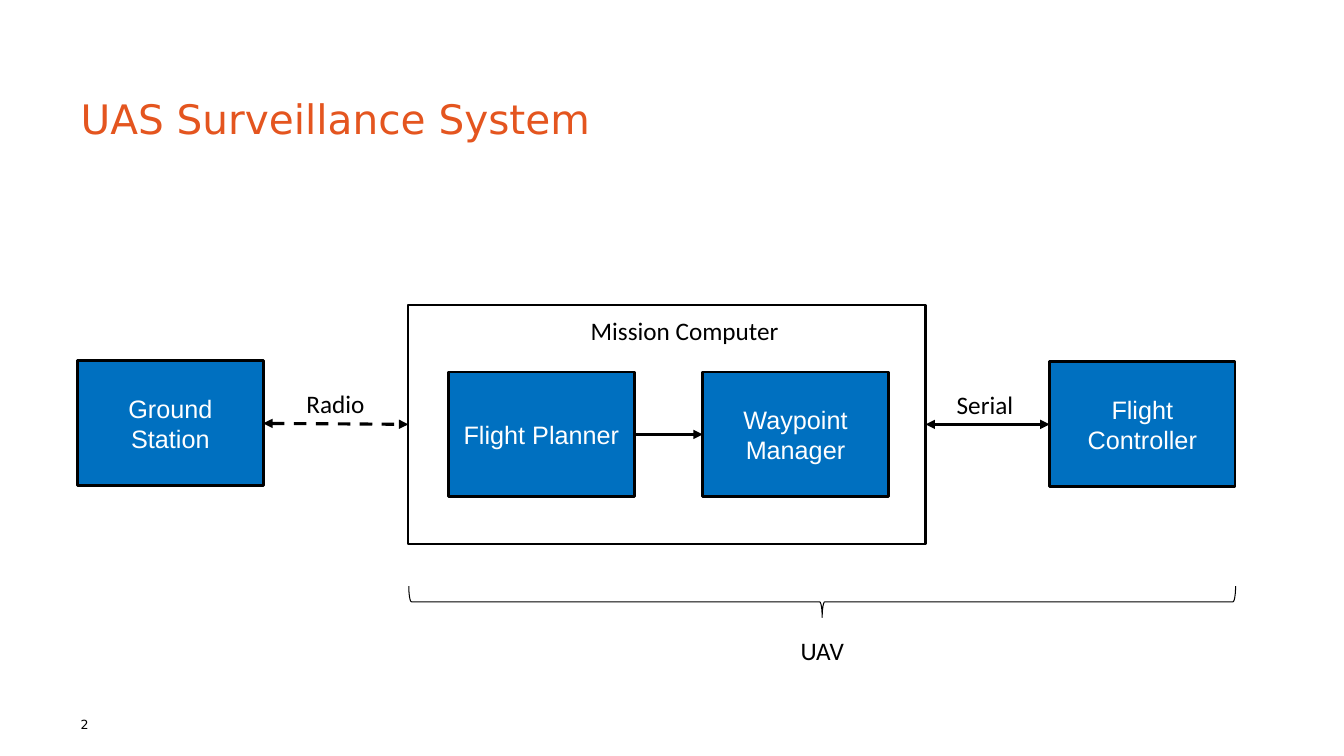
from lxml import etree
from pptx import Presentation
from pptx import util as u
from pptx.dml.color import RGBColor
from pptx.enum import dml, shapes, text
from pptx.oxml.ns import qn

BLACK, WHITE, BLUE, ORANGE = "000000", "FFFFFF", "0070C0", "E4551F"
NODE_WIDTH, NODE_HEIGHT = 1.84, 1.24


def color(value):
    return RGBColor.from_string(value)


def inches(*lengths):
    return [u.Inches(length) for length in lengths]


def write(frame, wording, size, font, ink, align):
    frame.word_wrap = True
    frame.text = wording
    paragraph = frame.paragraphs[0]
    paragraph.alignment = align
    run_font = paragraph.runs[0].font
    run_font.size = u.Pt(size)
    run_font.name = font
    run_font.color.rgb = color(ink)


def add_label(slide, wording, box, size=18, font="Calibri", ink=BLACK,
              align=text.PP_ALIGN.LEFT, insets=(0.1, 0.05)):
    frame = slide.shapes.add_textbox(*inches(*box)).text_frame
    frame.margin_left = frame.margin_right = u.Inches(insets[0])
    frame.margin_top = frame.margin_bottom = u.Inches(insets[1])
    write(frame, wording, size, font, ink, align)


def add_outline(slide, preset, box, weight, fill=None):
    outline = slide.shapes.add_shape(preset, *inches(*box))
    outline.shadow.inherit = False
    if fill:
        outline.fill.solid()
        outline.fill.fore_color.rgb = color(fill)
    else:
        outline.fill.background()
    outline.line.color.rgb = color(BLACK)
    outline.line.width = u.Pt(weight)
    return outline


def add_node(slide, wording, left, top):
    node = add_outline(slide, shapes.MSO_SHAPE.RECTANGLE,
                       (left, top, NODE_WIDTH, NODE_HEIGHT), 2, BLUE)
    node.text_frame.vertical_anchor = text.MSO_ANCHOR.MIDDLE
    write(node.text_frame, wording, 18, "Arial", WHITE, text.PP_ALIGN.CENTER)


def add_link(slide, start, end, both_ways=True, dashed=False):
    link = slide.shapes.add_connector(shapes.MSO_CONNECTOR.STRAIGHT,
                                      *inches(*start, *end))
    link.line.color.rgb = color(BLACK)
    link.line.width = u.Pt(2.25)
    if dashed:
        link.line.dash_style = dml.MSO_LINE.DASH
    # Arrowheads, and no theme shadow
    properties = link.line._get_or_add_ln()
    for end_tag in ("a:headEnd", "a:tailEnd") if both_ways else ("a:tailEnd",):
        etree.SubElement(properties, qn(end_tag), type="triangle")
    etree.SubElement(properties.getparent(), qn("a:effectLst"))


def main():
    deck = Presentation()
    deck.slide_width, deck.slide_height = inches(13.33, 7.5)
    slide = deck.slides.add_slide(deck.slide_layouts[6])
    center = text.PP_ALIGN.CENTER

    # Title and page number
    add_label(slide, "UAS Surveillance System", (0.67, 0.8, 12, 0.64),
              29, "DejaVu Sans", ORANGE, insets=(0.13, 0.13))
    add_label(slide, "2", (0.67, 7.04, 5.99, 0.27), 9, "DejaVu Sans",
              insets=(0.13, 0.07))

    # Mission computer frame
    add_outline(slide, shapes.MSO_SHAPE.RECTANGLE, (4.05, 3.03, 5.13, 2.37), 1.5)
    add_label(slide, "Mission Computer", (5.63, 3.08, 2.32, 0.4), align=center)

    # System components
    for component, left, top in (("Ground Station", 0.77, 3.58),
                                 ("Flight Planner", 4.45, 3.69),
                                 ("Waypoint Manager", 6.97, 3.69),
                                 ("Flight Controller", 10.41, 3.59)):
        add_node(slide, component, left, top)

    # Links between components
    add_link(slide, (2.61, 4.2), (4.05, 4.21), dashed=True)
    add_link(slide, (6.29, 4.31), (6.97, 4.31), both_ways=False)
    add_link(slide, (9.18, 4.21), (10.41, 4.21))
    add_label(slide, "Radio", (2.94, 3.8, 0.82, 0.4))
    add_label(slide, "Serial", (9.39, 3.81, 0.82, 0.4))

    # Brace spanning the airborne part
    uav_brace = add_outline(slide, shapes.MSO_SHAPE.LEFT_BRACE,
                            (8, 1.87, 0.31, 8.2), 0.75)
    uav_brace.rotation = 270
    add_label(slide, "UAV", (7.51, 6.25, 1.29, 0.4), align=center)

    deck.save("out.pptx")


if __name__ == "__main__":
    main()
